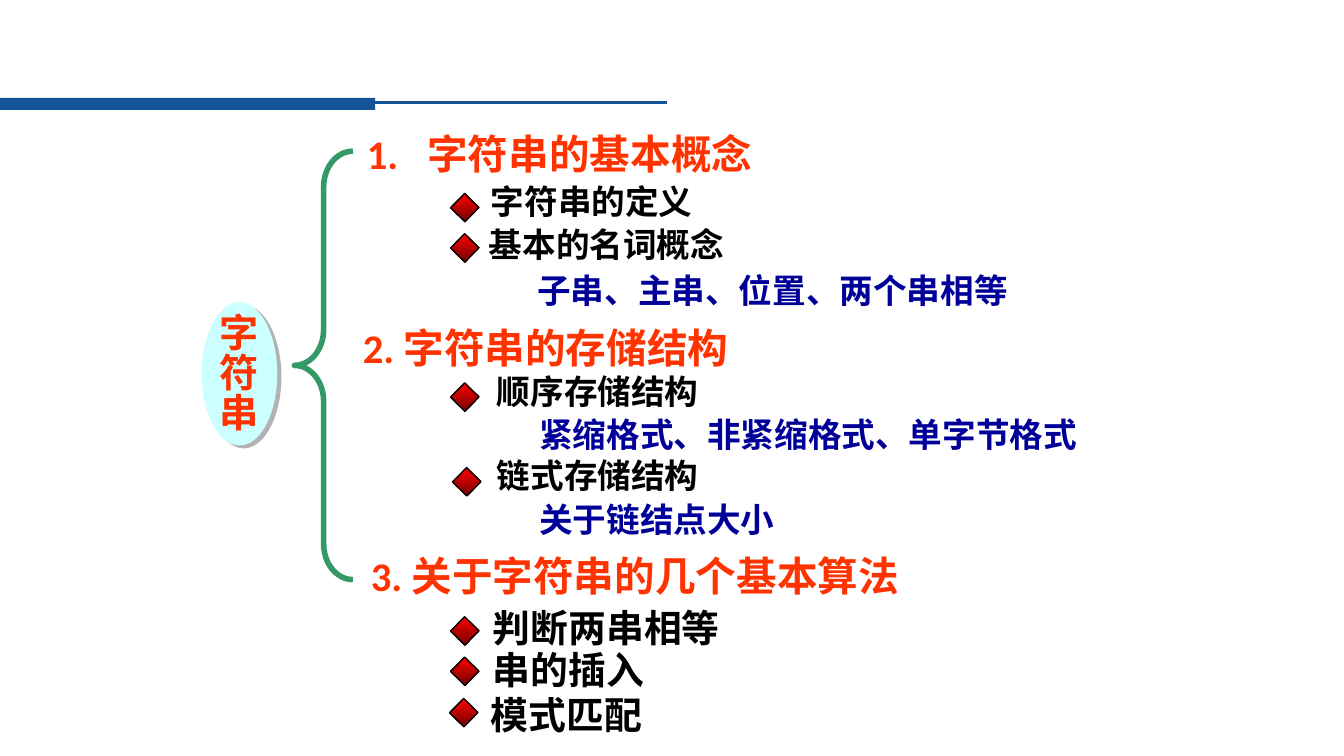
"""Build the outline slide of the chapter on character strings."""
from dataclasses import dataclass
from typing import Optional

from lxml.etree import SubElement
from pptx import Presentation
from pptx.dml.color import RGBColor
from pptx.enum.shapes import MSO_CONNECTOR as Connector, MSO_SHAPE as Preset
from pptx.enum.text import MSO_AUTO_SIZE as AutoSize
from pptx.oxml.ns import qn
from pptx.util import Inches, Pt

FONT = "Calibri"
COLORS = {
    "rule": "145396",
    "heading": "FF3300",
    "detail": "000099",
    "topic": "000000",
    "brace": "339966",
    "oval": "CCFFFF",
    "shadow": "B2B2B2",
    "diamond_light": "FF0000",
    "diamond_dark": "760000",
}
DIAMOND_SIZE = 0.2


@dataclass(frozen=True)
class Entry:
    text: str
    left: float
    top: float
    width: float
    tab: Optional[float] = None


@dataclass(frozen=True)
class Topic:
    entry: Entry
    diamond_left: float
    diamond_top: float
    size: float


HEADINGS = [
    Entry("1.\t字符串的基本概念", 3.54, 1.23, 4.75, tab=0.6),
    Entry("2. 字符串的存储结构", 3.5, 3.15, 4.42),
    Entry("3. 关于字符串的几个基本算法", 3.58, 5.42, 6.35),
]
DETAILS = [
    Entry("子串、主串、位置、两个串相等", 5.23, 2.63, 5.35),
    Entry("紧缩格式、非紧缩格式、单字节格式", 5.25, 4.06, 5.92),
    Entry("关于链结点大小", 5.25, 4.9, 3.9),
]
TOPICS = [
    Topic(Entry("字符串的定义", 4.77, 1.75, 2.67), 4.51, 1.96, 24),
    Topic(Entry("基本的名词概念", 4.75, 2.17, 3.67), 4.51, 2.36, 24),
    Topic(Entry("顺序存储结构", 4.83, 3.63, 2.92), 4.51, 3.84, 24),
    Topic(Entry("链式存储结构", 4.83, 4.46, 2.92), 4.53, 4.68, 24),
    Topic(Entry("判断两串相等", 4.79, 5.95, 5.33), 4.51, 6.16, 27),
    Topic(Entry("串的插入", 4.79, 6.37, 4.42), 4.51, 6.56, 27),
    Topic(Entry("模式匹配", 4.77, 6.81, 5.33), 4.5, 6.97, 27),
]


def rgb(name: str) -> RGBColor:
    return RGBColor.from_string(COLORS[name])


def add_shadow(effects, distance: float, angle: float) -> None:
    shadow = SubElement(effects, qn("a:outerShdw"), blurRad="0",
                        dist=str(Pt(distance)), dir=str(int(angle * 60000)))
    SubElement(shadow, qn("a:srgbClr"), val=COLORS["shadow"])


def add_text(slide, entry: Entry, *, size: float, color: str, height: float,
             shadow: bool = False, wrap: bool = True,
             line_spacing: Optional[float] = None) -> None:
    box = slide.shapes.add_textbox(Inches(entry.left), Inches(entry.top),
                                   Inches(entry.width), Inches(height))
    frame = box.text_frame
    frame.word_wrap = wrap
    frame.auto_size = AutoSize.SHAPE_TO_FIT_TEXT
    frame.text = entry.text
    for paragraph in frame.paragraphs:
        if line_spacing is not None:
            paragraph.line_spacing = line_spacing
        if entry.tab is not None:
            stops = SubElement(paragraph._p.get_or_add_pPr(), qn("a:tabLst"))
            SubElement(stops, qn("a:tab"), pos=str(Inches(entry.tab)), algn="l")
        for run in paragraph.runs:
            font = run.font
            font.size, font.bold = Pt(size), True
            font.color.rgb = rgb(color)
            if shadow:
                effects = SubElement(run._r.get_or_add_rPr(), qn("a:effectLst"))
                add_shadow(effects, 2, 45)
            font.name = FONT


def add_shape(slide, preset: Preset, left: float, top: float, width: float,
              height: float, *, fill: Optional[str] = None,
              line: Optional[str] = None, line_width: float = 1):
    shape = slide.shapes.add_shape(preset, Inches(left), Inches(top),
                                   Inches(width), Inches(height))
    shape.shadow.inherit = False
    if fill:
        shape.fill.solid()
        shape.fill.fore_color.rgb = rgb(fill)
    else:
        shape.fill.background()
    if line:
        shape.line.color.rgb = rgb(line)
        shape.line.width = Pt(line_width)
    else:
        shape.line.fill.background()
    return shape


def add_topic(slide, topic: Topic) -> None:
    add_text(slide, topic.entry, size=topic.size, color="topic",
             height=0.51 if topic.size == 24 else 0.56)
    diamond = add_shape(slide, Preset.RECTANGLE, topic.diamond_left,
                        topic.diamond_top, DIAMOND_SIZE, DIAMOND_SIZE,
                        line="topic")
    diamond.rotation = 44.4
    diamond.fill.gradient()
    diamond.fill.gradient_angle = 315
    for stop, color in zip(diamond.fill.gradient_stops,
                           ("diamond_light", "diamond_dark")):
        stop.color.rgb = rgb(color)


def add_header_rule(slide) -> None:
    add_shape(slide, Preset.RECTANGLE, 0, 0.97, 3.72, 0.12, fill="rule")
    rule = slide.shapes.add_connector(Connector.STRAIGHT, Inches(3.68),
                                      Inches(1.02), Inches(6.62), Inches(1.02))
    rule.line.color.rgb = rgb("rule")
    rule.line.width = Pt(2.25)
    SubElement(rule._element.spPr, qn("a:effectLst"))


def add_subject(slide) -> None:
    oval = add_shape(slide, Preset.OVAL, 2, 3, 0.75, 1.42, fill="oval")
    add_shadow(oval._element.spPr.find(qn("a:effectLst")), 3.6, 34)
    add_text(slide, Entry("字\n符\n串", 2.08, 3.08, 0.61), size=28,
             color="heading", height=1.3, shadow=True, wrap=False,
             line_spacing=0.85)


def main() -> None:
    presentation = Presentation()
    presentation.slide_width = Inches(13.33)
    presentation.slide_height = Inches(7.5)
    slide = presentation.slides.add_slide(presentation.slide_layouts[6])
    add_header_rule(slide)
    for heading in HEADINGS:
        add_text(slide, heading, size=29, color="heading", height=0.59,
                 shadow=True)
    brace = add_shape(slide, Preset.LEFT_BRACE, 2.92, 1.5, 0.58, 4.25,
                      line="brace", line_width=4)
    brace.adjustments[0] = 0.61
    for detail in DETAILS:
        add_text(slide, detail, size=24, color="detail", height=0.51)
    for topic in TOPICS:
        add_topic(slide, topic)
    add_subject(slide)
    presentation.save("out.pptx")


if __name__ == "__main__":
    main()
